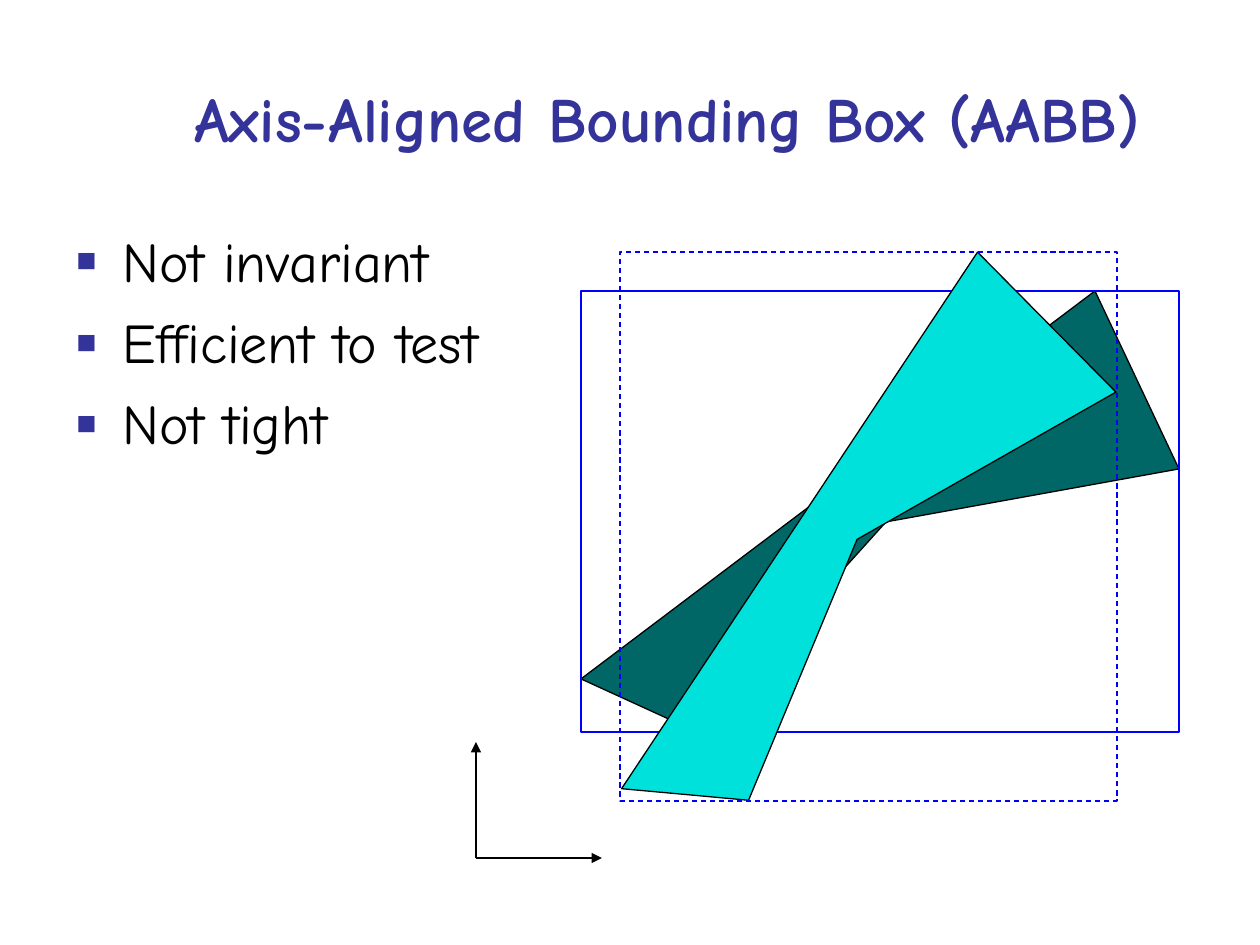
"""Build the axis-aligned bounding box slide."""
import pptx
import pptx.util
import pptx.dml.color
import pptx.enum.dml
import pptx.enum.shapes
import pptx.enum.text
import pptx.oxml
import pptx.oxml.ns

RGBColor = pptx.dml.color.RGBColor
INDIGO = RGBColor(0x33, 0x33, 0x99)
BLACK = RGBColor(0, 0, 0)
BLUE = RGBColor(0, 0, 0xFF)
TEAL = RGBColor(0, 0x66, 0x66)
CYAN = RGBColor(0, 0xE1, 0xDC)
FONT = "Comic Neue"
EMU_PER_PX = 914400 / 126

TITLE = "Axis-Aligned Bounding Box (AABB)"
PROPERTIES = ["Not invariant", "Efficient to test", "Not tight"]
TITLE_AREA = (105, 38, 1124, 158)
PROPERTIES_AREA = (63, 220, 525, 624)
HANGING = 47
BODY = [(697, 732), (581, 679), (1095, 291), (1179, 469), (886, 522)]
POSES = [
    {"shift": (0, 0), "angle": 0, "fill": TEAL},
    {"shift": (-32, 20), "angle": -19.4, "fill": CYAN},
]
BOXES = [
    {"area": (581, 291, 598, 441), "dash": None},
    {"area": (620, 252, 497, 549), "dash": pptx.enum.dml.MSO_LINE.DASH},
]
ORIGIN = (476, 858)
AXIS_TIPS = [(602, 858), (476, 742)]


def px(length):
    return pptx.util.Emu(round(length * EMU_PER_PX))


def outline(part, color):
    part.line.color.rgb = color
    part.line.width = pptx.util.Pt(0.75)


def add_text_area(slide, area):
    frame = slide.shapes.add_textbox(*map(px, area)).text_frame
    frame.word_wrap = True
    return frame


def add_run(paragraph, text, size, color, bold=False):
    run = paragraph.add_run()
    run.text = text
    run.font.name = FONT
    run.font.size = pptx.util.Pt(size)
    run.font.bold = bold
    run.font.color.rgb = color


def add_bullet(paragraph):
    properties = paragraph._p.get_or_add_pPr()
    properties.set("marL", str(px(HANGING)))
    properties.set("indent", str(-px(HANGING)))
    namespace = pptx.oxml.ns.nsdecls("a")
    for xml in (
        f'<a:buClr {namespace}><a:srgbClr val="{INDIGO}"/></a:buClr>',
        f'<a:buFont {namespace} typeface="{FONT}"/>',
        f'<a:buChar {namespace} char="▪"/>',
    ):
        properties.append(pptx.oxml.parse_xml(xml))


def add_title(slide):
    frame = add_text_area(slide, TITLE_AREA)
    frame.vertical_anchor = pptx.enum.text.MSO_ANCHOR.MIDDLE
    heading = frame.paragraphs[0]
    heading.alignment = pptx.enum.text.PP_ALIGN.CENTER
    add_run(heading, TITLE, 36, INDIGO, bold=True)


def add_properties(slide):
    frame = add_text_area(slide, PROPERTIES_AREA)
    for index, text in enumerate(PROPERTIES):
        item = frame.add_paragraph() if index else frame.paragraphs[0]
        add_bullet(item)
        item.space_before = pptx.util.Pt(8 if index else 0)
        add_run(item, text, 32, BLACK)


def add_body(slide, shift, angle, fill):
    points = [(x + shift[0], y + shift[1]) for x, y in BODY]
    builder = slide.shapes.build_freeform(*points[0], scale=EMU_PER_PX)
    builder.add_line_segments(points[1:], close=True)
    body = builder.convert_to_shape()
    body.shadow.inherit = False
    body.rotation = angle
    body.fill.solid()
    body.fill.fore_color.rgb = fill
    outline(body, BLACK)


def add_box(slide, area, dash):
    rectangle = pptx.enum.shapes.MSO_SHAPE.RECTANGLE
    box = slide.shapes.add_shape(rectangle, *map(px, area))
    box.shadow.inherit = False
    box.fill.background()
    outline(box, BLUE)
    if dash:
        box.line.dash_style = dash


def add_axis(slide, tip):
    straight = pptx.enum.shapes.MSO_CONNECTOR.STRAIGHT
    axis = slide.shapes.add_connector(straight, *map(px, ORIGIN + tip))
    outline(axis, BLACK)
    namespace = pptx.oxml.ns.nsdecls("a")
    arrowhead = f'<a:tailEnd {namespace} type="triangle"/>'
    axis.line._get_or_add_ln().append(pptx.oxml.parse_xml(arrowhead))
    no_effects = f"<a:effectLst {namespace}/>"
    axis._element.spPr.append(pptx.oxml.parse_xml(no_effects))


def main():
    deck = pptx.Presentation()
    deck.slide_width, deck.slide_height = px(1260), px(945)
    slide = deck.slides.add_slide(deck.slide_layouts[6])
    add_title(slide)
    for pose, box in zip(POSES, BOXES):
        add_body(slide, **pose)
        add_box(slide, **box)
    for tip in AXIS_TIPS:
        add_axis(slide, tip)
    add_properties(slide)
    deck.save("out.pptx")


if __name__ == "__main__":
    main()
